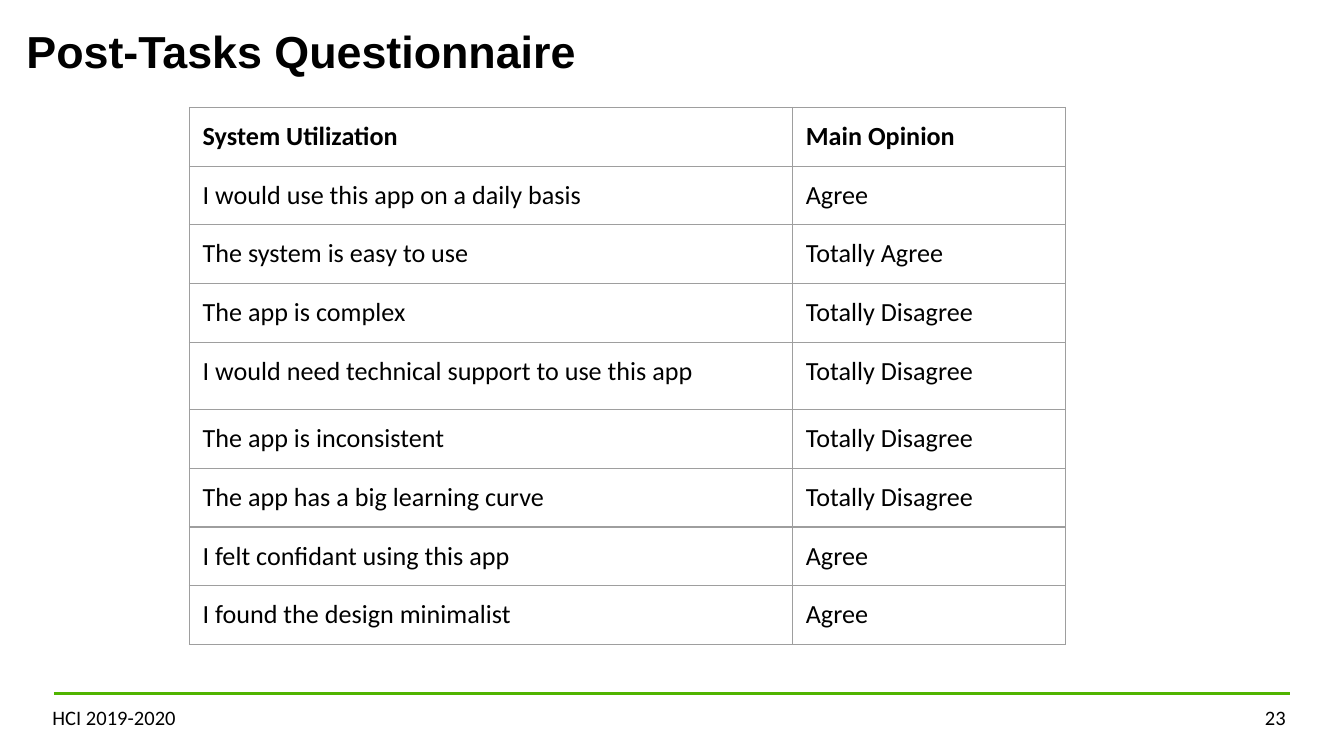
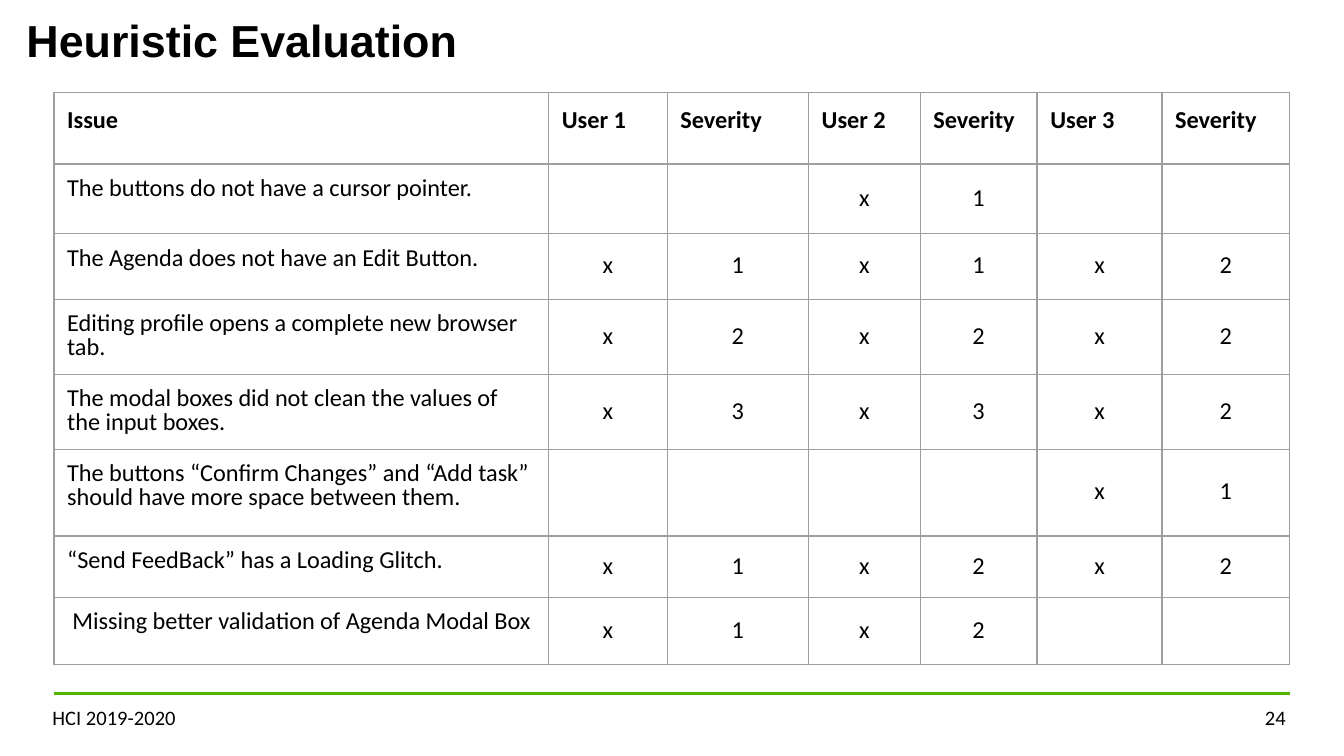
"""Build two usability evaluation slides with a shared title, footer and table style."""
from dataclasses import dataclass

from lxml import etree
from pptx import Presentation
from pptx.dml.color import RGBColor
from pptx.enum.shapes import MSO_CONNECTOR
from pptx.enum.text import MSO_ANCHOR, PP_ALIGN
from pptx.oxml.ns import qn
from pptx.util import Cm, Pt

STRAIGHT = MSO_CONNECTOR.STRAIGHT
LEFT, CENTER, RIGHT = PP_ALIGN.LEFT, PP_ALIGN.CENTER, PP_ALIGN.RIGHT
TOP, MIDDLE = MSO_ANCHOR.TOP, MSO_ANCHOR.MIDDLE


@dataclass(frozen=True)
class Theme:
    ink: str = "000000"
    accent: str = "50B400"
    grid: str = "9E9E9E"
    title_font: str = "Arial"
    body_font: str = "Calibri"
    title_size: int = 24
    footer_size: int = 11
    rule_width: float = 1.5
    grid_width: float = 0.75
    cell_margin: float = 0.25


THEME = Theme()
FOOTER = "HCI 2019-2020"
BLANK_LAYOUT = 6

OPINIONS = [
    ("System Utilization", "Main Opinion"),
    ("I would use this app on a daily basis", "Agree"),
    ("The system is easy to use", "Totally Agree"),
    ("The app is complex", "Totally Disagree"),
    ("I would need technical support to use this app", "Totally Disagree"),
    ("The app is inconsistent", "Totally Disagree"),
    ("The app has a big learning curve", "Totally Disagree"),
    ("I felt confidant using this app", "Agree"),
    ("I found the design minimalist", "Agree"),
]

ISSUE_HEADER = ("Issue", "User 1", "Severity", "User 2", "Severity", "User 3", "Severity")
ISSUE_SEVERITIES = [
    ("The buttons do not have a cursor pointer.", ("", "1", "")),
    ("The Agenda does not have an Edit Button.", ("1", "1", "2")),
    ("Editing profile opens a complete new browser tab.", ("2", "2", "2")),
    ("The modal boxes did not clean the values of the input boxes.", ("3", "3", "2")),
    ("The buttons “Confirm Changes” and “Add task” should have more space between them.",
     ("", "", "1")),
    ("“Send FeedBack” has a Loading Glitch.", ("1", "2", "2")),
    ("Missing better validation of Agenda Modal Box", ("1", "2", "")),
]


def issue_row(issue, severities):
    row = [issue]
    for severity in severities:
        row += ["x" if severity else "", severity]
    return row


PAGES = [
    {
        "number": 23,
        "title": "Post-Tasks Questionnaire",
        "title_area": (0.25, 0.2, 24.13, 2.67),
        "rows": OPINIONS,
        "corner": (3.58, 2.03),
        "widths": [11.4, 5.16],
        "heights": [1.11] * 4 + [1.27] + [1.11] * 4,
        "size": 14,
        "value_align": LEFT,
        "value_anchor": TOP,
        "spacing": 1.0,
        "last_indent": 0,
    },
    {
        "number": 24,
        "title": "Heuristic Evaluation",
        "title_area": (0.25, 0, 24.13, 1.09),
        "rows": [ISSUE_HEADER] + [issue_row(*entry) for entry in ISSUE_SEVERITIES],
        "corner": (1.02, 1.75),
        "widths": [9.35, 2.24, 2.67, 2.11, 2.21, 2.36, 2.41],
        "heights": [1.35, 1.32, 1.24, 1.42, 1.42, 1.63, 1.17, 1.22],
        "size": 13,
        "value_align": CENTER,
        "value_anchor": MIDDLE,
        "spacing": 0.8,
        "last_indent": 0.1,
    },
]


def style_text(paragraph, font, size, bold=False, align=LEFT):
    paragraph.alignment = align
    for span in paragraph.runs:
        span.font.name = font
        span.font.size = Pt(size)
        span.font.bold = bold
        span.font.color.rgb = RGBColor.from_string(THEME.ink)


def add_text(page, text, area, margins, font, size, bold=False, align=LEFT):
    box = page.shapes.add_textbox(*map(Cm, area))
    frame = box.text_frame
    frame.word_wrap = True
    frame.margin_left = frame.margin_right = Cm(margins[0])
    frame.margin_top = frame.margin_bottom = Cm(margins[1])
    frame.text = text
    style_text(frame.paragraphs[0], font, size, bold, align)


def add_footer(page, number):
    rule = page.shapes.add_connector(STRAIGHT, Cm(1.02), Cm(13.11), Cm(24.38), Cm(13.11))
    rule.line.color.rgb = RGBColor.from_string(THEME.accent)
    rule.line.width = Pt(THEME.rule_width)
    etree.SubElement(rule._element.spPr, qn("a:effectLst"))
    for text, left, width, align in ((str(number), 22.96, 1.52, RIGHT), (FOOTER, 0.81, 5.56, LEFT)):
        add_text(page, text, (left, 13.23, width, 0.64), (0.18, 0.1),
                 THEME.body_font, THEME.footer_size, align=align)


def set_borders(cell):
    properties = cell._tc.get_or_add_tcPr()
    for position, side in enumerate(("a:lnL", "a:lnR", "a:lnT", "a:lnB")):
        border = etree.Element(qn(side), w=str(Pt(THEME.grid_width)))
        fill = etree.SubElement(border, qn("a:solidFill"))
        etree.SubElement(fill, qn("a:srgbClr"), val=THEME.grid)
        properties.insert(position, border)


def add_grid(page, content):
    rows, widths, heights = content["rows"], content["widths"], content["heights"]
    area = (*content["corner"], sum(widths), sum(heights))
    table = page.shapes.add_table(len(rows), len(widths), *map(Cm, area)).table
    table.first_row = table.horz_banding = False
    for column, width in zip(table.columns, widths):
        column.width = Cm(width)
    for row, height in zip(table.rows, heights):
        row.height = Cm(height)
    for row_index, row in enumerate(rows):
        header = row_index == 0
        for column_index, text in enumerate(row):
            value = not header and column_index > 0
            cell = table.cell(row_index, column_index)
            cell.text = text
            cell.margin_left = cell.margin_right = Cm(THEME.cell_margin)
            cell.margin_top = cell.margin_bottom = Cm(THEME.cell_margin)
            cell.vertical_anchor = content["value_anchor"] if value else TOP
            cell.fill.background()
            set_borders(cell)
            paragraph = cell.text_frame.paragraphs[0]
            if not header:
                paragraph.line_spacing = content["spacing"]
            style_text(paragraph, THEME.body_font, content["size"], header,
                       content["value_align"] if value else LEFT)
    table.cell(len(rows) - 1, 0).margin_left = Cm(THEME.cell_margin + content["last_indent"])


def main():
    deck = Presentation()
    deck.slide_width, deck.slide_height = Cm(25.4), Cm(14.29)
    for content in PAGES:
        page = deck.slides.add_slide(deck.slide_layouts[BLANK_LAYOUT])
        add_text(page, content["title"], content["title_area"], (0.25, 0.25),
                 THEME.title_font, THEME.title_size, bold=True)
        add_footer(page, content["number"])
        add_grid(page, content)
    deck.save("out.pptx")


if __name__ == "__main__":
    main()
